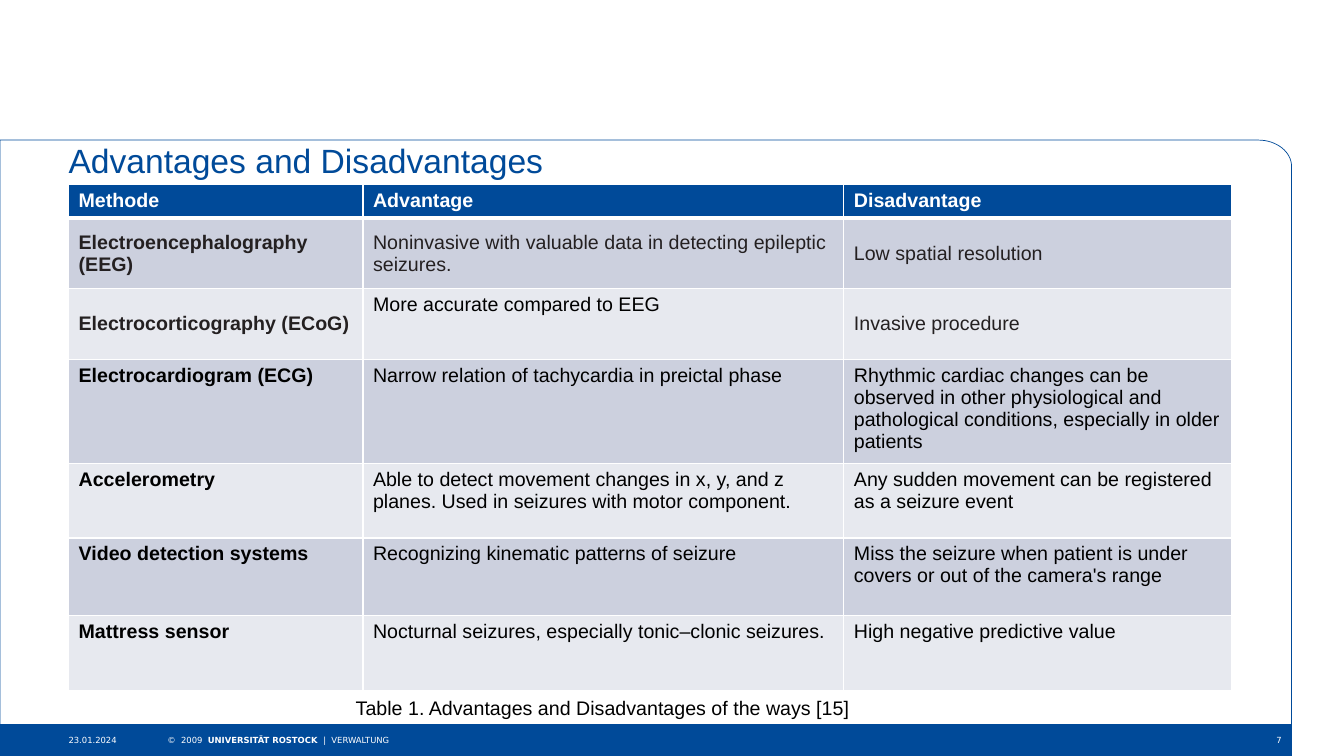
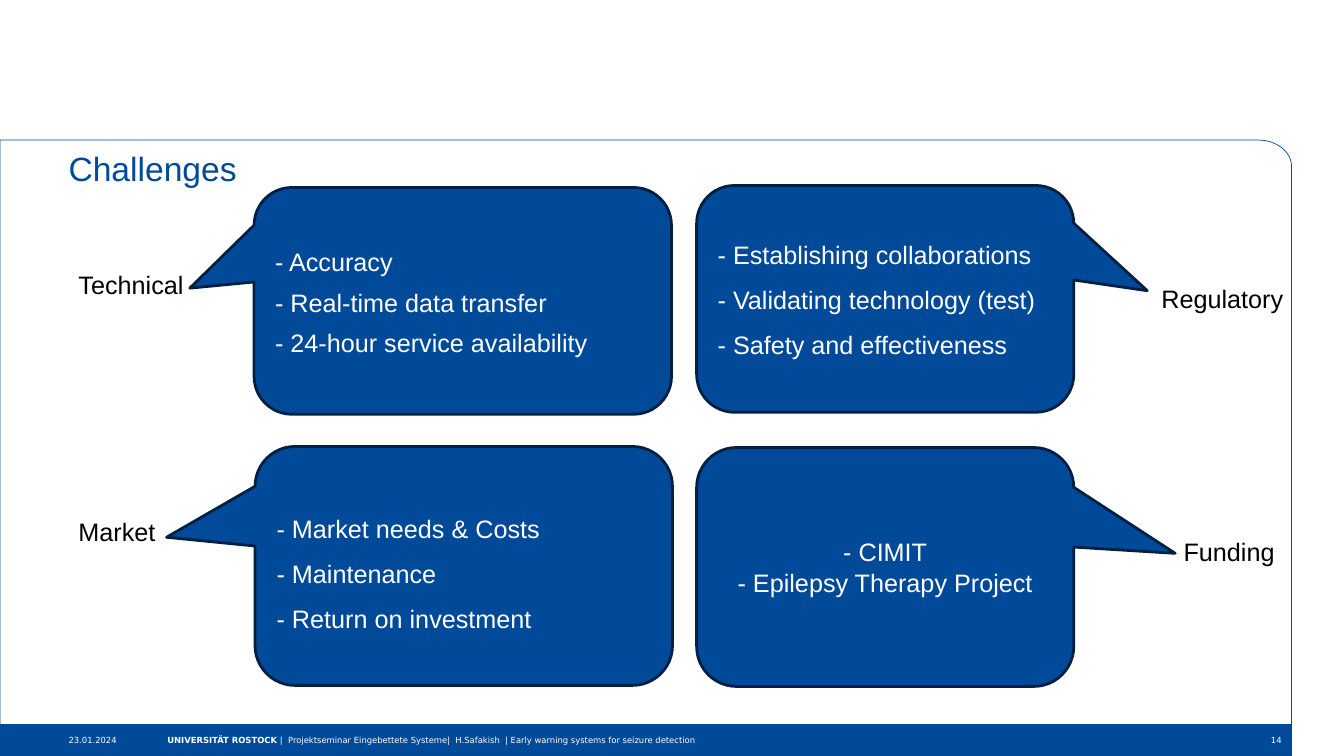
from dataclasses import dataclass

from lxml import etree
from pptx import Presentation
from pptx.dml.color import RGBColor as RGB
from pptx.enum.shapes import MSO_SHAPE as Shape
from pptx.enum.text import MSO_ANCHOR as Anchor, PP_ALIGN as Align
from pptx.oxml.ns import qn
from pptx.util import Inches, Pt


@dataclass(frozen=True)
class Theme:
    font: str = "Arial"
    footer_font: str = "DejaVu Sans"
    blue: str = "004A99"
    navy: str = "002043"
    white: str = "FFFFFF"
    black: str = "000000"
    charcoal: str = "242021"
    bands: tuple[str, str] = ("CCD0DE", "E7E9EF")
    title_size: float = 24
    body_size: float = 18
    table_size: float = 14
    footer_size: float = 6


THEME = Theme()
LEFT = 0.68                                  # left margin of all content
PANEL_TOP, PANEL_RIGHT, BAND_TOP = 1.39, 12.81, 7.19
CORNER_W, CORNER_H = 0.33, 0.26


@dataclass(frozen=True)
class Run:
    text: str
    bold: bool = False


@dataclass(frozen=True)
class Method:
    name: str
    advantage: str
    disadvantage: str
    height: float
    middle: tuple[int, ...] = ()             # columns set in charcoal, mid-height


@dataclass(frozen=True)
class Callout:
    box: tuple[float, float, float, float]
    tip: tuple[float, float]
    lines: tuple[str, ...]
    label: str
    label_box: tuple[float, float, float]    # left, top, width
    spacing: float = 1.5
    after: float = 0
    align: Align = Align.LEFT
    bottom: float = 0.05


METHODS = (
    Method("Electroencephalography (EEG)",
           "Noninvasive with valuable data in detecting epileptic seizures.",
           "Low spatial resolution", 0.7, (0, 1, 2)),
    Method("Electrocorticography (ECoG)", "More accurate compared to EEG",
           "Invasive procedure", 0.7, (0, 2)),
    Method("Electrocardiogram (ECG)",
           "Narrow relation of tachycardia in preictal phase",
           "Rhythmic cardiac changes can be observed in other physiological and "
           "pathological conditions, especially in older patients", 0.97),
    Method("Accelerometry",
           "Able to detect movement changes in x, y, and z planes. "
           "Used in seizures with motor component.",
           "Any sudden movement can be registered as a seizure event", 0.74),
    Method("Video detection systems", "Recognizing kinematic patterns of seizure",
           "Miss the seizure when patient is under covers or out of the camera's range",
           0.77),
    Method("Mattress sensor", "Nocturnal seizures, especially tonic–clonic seizures.",
           "High negative predictive value", 0.74),
)

CALLOUTS = (
    Callout((2.52, 1.86, 4.14, 2.25), (-0.654, -0.056),
            ("- Accuracy", "- Real-time data transfer", "- 24-hour service availability"),
            "Technical", (LEFT, 2.62, 1.33), spacing=1.07, after=6),
    Callout((6.91, 1.84, 3.74, 2.25), (0.695, -0.036),
            ("- Establishing collaborations", "- Validating technology (test)",
             "- Safety and effectiveness"),
            "Regulatory", (11.42, 2.76, 1.62), bottom=0.19),
    Callout((2.53, 4.43, 4.14, 2.37), (-0.712, -0.12),
            ("- Market needs & Costs", "- Maintenance", "- Return on investment"),
            "Market", (LEFT, 5.07, 0.98)),
    Callout((6.91, 4.44, 3.74, 2.37), (0.769, -0.057),
            ("- CIMIT", "- Epilepsy Therapy Project"),
            "Funding", (11.64, 5.27, 1.17), spacing=1, align=Align.CENTER),
)


# Helpers
def set_font(p, size: float, color: str, name: str = THEME.font) -> None:
    p.font.name, p.font.size = name, Pt(size)
    p.font.color.rgb = RGB.from_string(color)


def set_insets(tf, left: float, top: float, right: float, bottom: float) -> None:
    tf.margin_left, tf.margin_top = Inches(left), Inches(top)
    tf.margin_right, tf.margin_bottom = Inches(right), Inches(bottom)


def add_text(s, left: float, top: float, width: float, height: float,
             runs: tuple[Run, ...], size: float, color: str = THEME.black,
             font: str = THEME.font, anchor: Anchor = Anchor.TOP,
             align: Align = Align.LEFT, insets=(0.1, 0.05, 0.1, 0.05)) -> None:
    tf = s.shapes.add_textbox(
        Inches(left), Inches(top), Inches(width), Inches(height)).text_frame
    tf.word_wrap, tf.vertical_anchor = True, anchor
    set_insets(tf, *insets)
    p = tf.paragraphs[0]
    p.alignment = align
    set_font(p, size, color, font)
    for run in runs:
        r = p.add_run()
        r.text, r.font.bold = run.text, run.bold


def style_shape(sp, fill: str | None, line: str, width: float) -> None:
    sp.shadow.inherit = False
    if fill:
        sp.fill.solid()
        sp.fill.fore_color.rgb = RGB.from_string(fill)
    else:
        sp.fill.background()
    sp.line.color.rgb = RGB.from_string(line)
    sp.line.width = Pt(width)


# Shared frame, title and footer
def corner_points(steps: int = 16) -> list[tuple[float, float]]:
    """Points along the Bezier curve of the panel's top right corner."""
    x0, y0 = PANEL_RIGHT - CORNER_W, PANEL_TOP
    curve = ((x0, y0), (x0 + CORNER_W * 0.55, y0),
             (PANEL_RIGHT, y0 + CORNER_H * 0.45), (PANEL_RIGHT, y0 + CORNER_H))
    points = []
    for i in range(steps + 1):
        t = i / steps
        weights = ((1 - t) ** 3, 3 * t * (1 - t) ** 2, 3 * t * t * (1 - t), t ** 3)
        points.append((sum(w * x for w, (x, _) in zip(weights, curve)),
                       sum(w * y for w, (_, y) in zip(weights, curve))))
    return points


def add_frame(s, title: str, title_top: float, footer: tuple[Run, ...],
              number: str) -> None:
    band = s.shapes.add_shape(Shape.RECTANGLE, 0, Inches(BAND_TOP),
                              Inches(PANEL_RIGHT), Inches(0.31))
    style_shape(band, THEME.blue, THEME.blue, 0.5)

    builder = s.shapes.build_freeform(0, Inches(PANEL_TOP))
    outline = corner_points() + [(PANEL_RIGHT, BAND_TOP), (0, BAND_TOP)]
    builder.add_line_segments([(Inches(x), Inches(y)) for x, y in outline], close=True)
    style_shape(builder.convert_to_shape(), None, THEME.blue, 0.5)

    add_text(s, LEFT, title_top, 11.54, 0.44, (Run(title),), THEME.title_size,
             THEME.blue, insets=(0, 0, 0, 0))
    for left, width, runs, align, insets in (
        (LEFT, 0.98, (Run("23.01.2024"),), Align.LEFT, (0, 0.05, 0, 0.05)),
        (1.66, 10.49, footer, Align.LEFT, (0, 0.05, 0.1, 0.05)),
        (12.15, 0.66, (Run(number),), Align.RIGHT, (0.1, 0.05, 0.1, 0.05)),
    ):
        add_text(s, left, BAND_TOP, width, 0.31, runs, THEME.footer_size, THEME.white,
                 THEME.footer_font, Anchor.MIDDLE, align, insets)


# Table
def set_borders(cell, top: float, bottom: float) -> None:
    tc_pr = cell._tc.get_or_add_tcPr()
    for side, width in (("L", 1), ("R", 1), ("T", top), ("B", bottom)):
        ln = etree.SubElement(tc_pr, qn(f"a:ln{side}"), w=str(Pt(width)))
        fill = etree.SubElement(ln, qn("a:solidFill"))
        etree.SubElement(fill, qn("a:srgbClr"), val=THEME.white)


def fill_cell(cell, text: str, row: int, bold: bool, color: str, fill: str,
              anchor: Anchor) -> None:
    set_borders(cell, 3 if row == 1 else 1, 3 if row == 0 else 1)
    cell.fill.solid()
    cell.fill.fore_color.rgb = RGB.from_string(fill)
    cell.vertical_anchor = anchor
    cell.text = text
    p = cell.text_frame.paragraphs[0]
    set_font(p, THEME.table_size, color)
    p.font.bold = bold


def add_methods_table(s) -> None:
    widths = (2.92, 4.77, 3.85)
    heights = (0.33, *(m.height for m in METHODS))
    table = s.shapes.add_table(
        len(heights), len(widths), Inches(LEFT), Inches(1.83),
        Inches(sum(widths)), Inches(sum(heights))).table
    table.horz_banding = False
    for column, width in zip(table.columns, widths):
        column.width = Inches(width)
    for row, height in zip(table.rows, heights):
        row.height = Inches(height)

    for col, text in enumerate(("Methode", "Advantage", "Disadvantage")):
        fill_cell(table.cell(0, col), text, 0, True, THEME.white, THEME.blue, Anchor.TOP)
    for row, m in enumerate(METHODS, 1):
        for col, text in enumerate((m.name, m.advantage, m.disadvantage)):
            middle = col in m.middle
            fill_cell(table.cell(row, col), text, row, col == 0,
                      THEME.charcoal if middle else THEME.black,
                      THEME.bands[(row - 1) % 2],
                      Anchor.MIDDLE if middle else Anchor.TOP)


# Callouts
def add_callout(s, c: Callout) -> None:
    sp = s.shapes.add_shape(Shape.ROUNDED_RECTANGULAR_CALLOUT,
                            *(Inches(v) for v in c.box))
    for i, value in enumerate((*c.tip, 0.167)):
        sp.adjustments[i] = value
    style_shape(sp, THEME.blue, THEME.navy, 2)
    tf = sp.text_frame
    tf.word_wrap, tf.vertical_anchor = True, Anchor.MIDDLE
    set_insets(tf, 0.1, 0.05, 0.1, c.bottom)
    for i, line in enumerate(c.lines):
        p = tf.add_paragraph() if i else tf.paragraphs[0]
        p.text, p.alignment = line, c.align
        p.line_spacing, p.space_after = c.spacing, Pt(c.after)
        set_font(p, THEME.body_size, THEME.white)
    add_text(s, *c.label_box, 0.4, (Run(c.label),), THEME.body_size)


# Slides
def add_comparison_slide(prs) -> None:
    s = prs.slides.add_slide(prs.slide_layouts[6])
    add_frame(s, "Advantages and Disadvantages", 1.39,
              (Run("©  2009  "), Run("UNIVERSITÄT ROSTOCK  ", True),
               Run("|  VERWALTUNG")), "7")
    add_methods_table(s)
    add_text(s, 3.43, 6.85, 5.4, 0.34,
             (Run("Table 1. Advantages and Disadvantages of the ways [15]"),),
             THEME.table_size)


def add_challenges_slide(prs) -> None:
    s = prs.slides.add_slide(prs.slide_layouts[6])
    add_frame(s, "Challenges", 1.47,
              (Run("UNIVERSITÄT ROSTOCK ", True),
               Run("|  Projektseminar Eingebettete Systeme|  H.Safakish  "
                   "| Early warning systems for seizure detection")), "14")
    for callout in CALLOUTS:
        add_callout(s, callout)


def main() -> None:
    prs = Presentation()
    prs.slide_width, prs.slide_height = Inches(13.33), Inches(7.5)
    add_comparison_slide(prs)
    add_challenges_slide(prs)
    prs.save("out.pptx")


if __name__ == "__main__":
    main()
